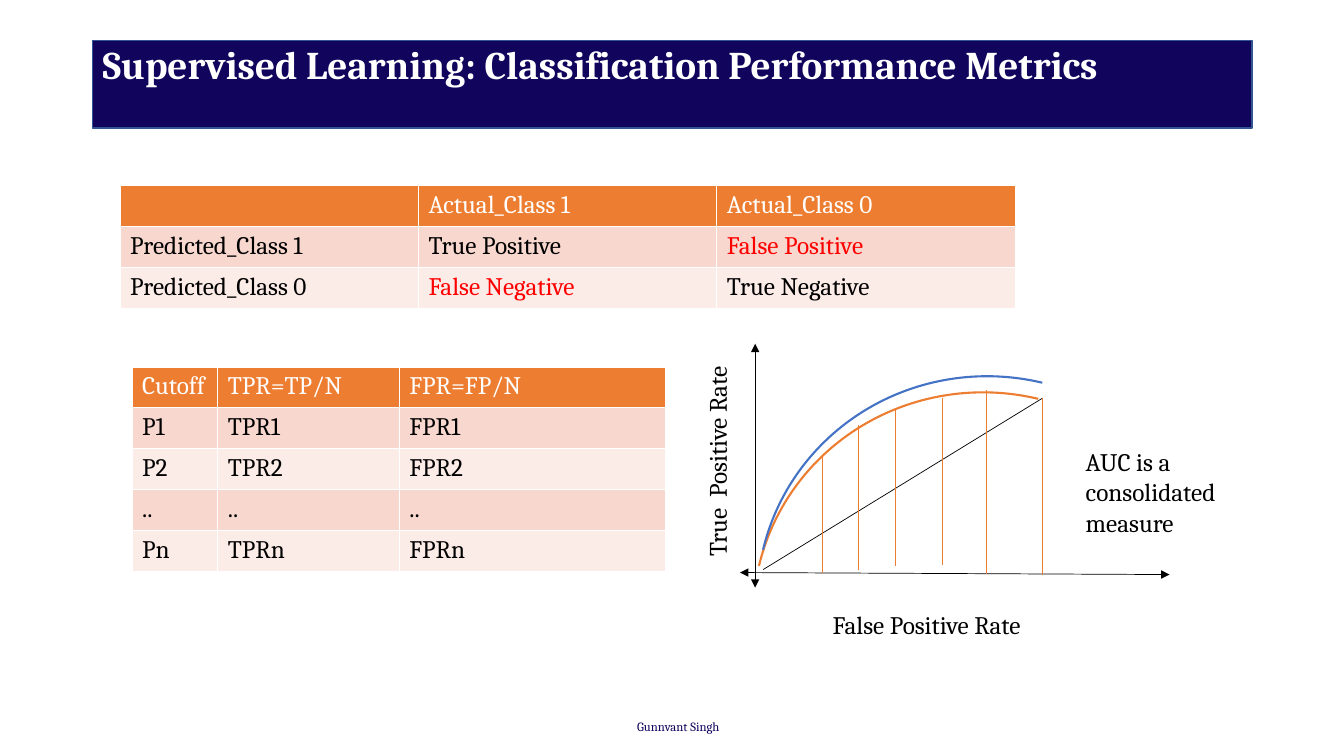
"""Build a slide on classification performance metrics."""
from pptx import Presentation
from pptx.dml.color import RGBColor as Rgb
from pptx.enum.shapes import MSO_CONNECTOR as Connector, MSO_SHAPE as Shape
from pptx.enum.text import MSO_ANCHOR as Anchor, MSO_AUTO_SIZE as AutoSize
from pptx.oxml.xmlchemy import OxmlElement as Element
from pptx.util import Inches, Pt

COLORS = {
    "navy": "11045C", "bar_edge": "325491", "white": "FFFFFF",
    "black": "000000", "red": "FF0000", "orange": "ED7D31",
    "blue": "4472C4", "band_dark": "F8D7CE", "band_light": "FCECE8",
}
BODY = {"name": "Cambria", "size": Pt(18), "bold": False}
TITLE = BODY | {"size": Pt(28), "bold": True}
FOOTER = BODY | {"size": Pt(9)}


def apply(target, formats):
    for attribute, setting in formats.items():
        setattr(target, attribute, setting)


def color(name):
    return Rgb.from_string(COLORS[name])


class MetricsSlide:
    def __init__(self, slide):
        self.shapes = slide.shapes

    def add_words(self, paragraph, words, style, ink):
        run = paragraph.add_run()
        run.text = words
        apply(run.font, style)
        run.font.color.rgb = color(ink)

    def stroke(self, line, ink, width):
        line.color.rgb = color(ink)
        line.width = Pt(width)

    def outline(self, preset, place, ink, width, fill=None, rotation=0):
        shape = self.shapes.add_shape(preset, *map(Inches, place))
        shape.shadow.inherit = False
        shape.rotation = rotation
        if fill:
            shape.fill.solid()
            shape.fill.fore_color.rgb = color(fill)
        else:
            shape.fill.background()
        self.stroke(shape.line, ink, width)

    def text(self, words, place, style=BODY, ink="black", rotation=0,
             spacing=1.0, fit=AutoSize.SHAPE_TO_FIT_TEXT):
        box = self.shapes.add_textbox(*map(Inches, place))
        box.rotation = rotation
        apply(box.text_frame, {"word_wrap": True, "auto_size": fit,
                               "vertical_anchor": Anchor.TOP})
        paragraph = box.text_frame.paragraphs[0]
        paragraph.line_spacing = spacing
        self.add_words(paragraph, words, style, ink)

    def line(self, start, end, ink="black", arrows=False):
        connector = self.shapes.add_connector(
            Connector.STRAIGHT, *map(Inches, (*start, *end)))
        self.stroke(connector.line, ink, 0.5)
        properties = connector._element.spPr
        properties.append(Element("a:effectLst"))
        if arrows:
            for tag in ("a:headEnd", "a:tailEnd"):
                arrowhead = Element(tag)
                arrowhead.set("type", "triangle")
                properties.ln.append(arrowhead)

    def table(self, left, top, widths, height, rows):
        row_height = Inches(height / len(rows))
        table = self.shapes.add_table(
            len(rows), len(widths), Inches(left), Inches(top),
            Inches(sum(widths)), Inches(height)).table
        for column, width in zip(table.columns, widths):
            column.width = Inches(width)
        for r, labels in enumerate(rows):
            table.rows[r].height = row_height
            band = "band_dark" if r % 2 else "band_light"
            for c, label in enumerate(labels):
                cell = table.cell(r, c)
                cell.fill.solid()
                cell.fill.fore_color.rgb = color(band if r else "orange")
                ink = "red" if label.startswith("False") else "black"
                if label:
                    self.add_words(cell.text_frame.paragraphs[0], label, BODY,
                                   ink if r else "white")


def main():
    deck = Presentation()
    apply(deck, {"slide_width": Inches(13.33), "slide_height": Inches(7.5)})
    page = MetricsSlide(deck.slides.add_slide(deck.slide_layouts[6]))

    page.outline(Shape.RECTANGLE, (0.92, 0.4, 11.5, 0.87), "bar_edge", 1, "navy")
    page.text("Gunnvant Singh", (6.22, 7.08, 1.08, 0.25), FOOTER, "navy")
    page.text("Supervised Learning: Classification Performance Metrics",
              (0.92, 0.4, 11.5, 1.45), TITLE, "white", spacing=0.9,
              fit=AutoSize.NONE)

    page.table(1.19, 1.84, [2.96] * 3, 1.22, [
        ["", "Actual_Class 1", "Actual_Class 0"],
        ["Predicted_Class 1", "True Positive", "False Positive"],
        ["Predicted_Class 0", "False Negative", "True Negative"],
    ])
    cutoffs = [[stem + suffix for stem in ("P", "TPR", "FPR")] for suffix in "12n"]
    page.table(1.31, 3.64, [0.85, 1.8, 2.64], 2.03, [
        ["Cutoff", "TPR=TP/N", "FPR=FP/N"],
        *cutoffs[:2], [".."] * 3, cutoffs[2],
    ])

    page.line((7.49, 3.41), (7.49, 5.83), arrows=True)
    page.line((7.34, 5.68), (11.6, 5.7), arrows=True)
    page.line((7.57, 5.65), (10.34, 3.95))
    for left, top, ink in ((7.52, 3.84, "orange"), (7.56, 3.68, "blue")):
        page.outline(Shape.ARC, (left, top, 4.51, 4.62), ink, 1.5, rotation=283.4)
    page.text("False Positive Rate", (8.16, 6, 2.18, 0.4))
    page.text("True  Positive Rate", (6.02, 4.33, 2.18, 0.4), rotation=270)
    page.text("AUC is a consolidated measure", (10.67, 4.38, 1.92, 1.01))

    drops = ((10.34, 3.95, 5.7), (8.16, 4.53, 5.68), (8.51, 4.22, 5.65),
             (8.88, 4.07, 5.62), (9.35, 3.95, 5.61), (9.78, 3.87, 5.69))
    for rate, curve, axis in drops:
        page.line((rate, curve), (rate, axis), "orange")

    deck.save("out.pptx")


if __name__ == "__main__":
    main()
